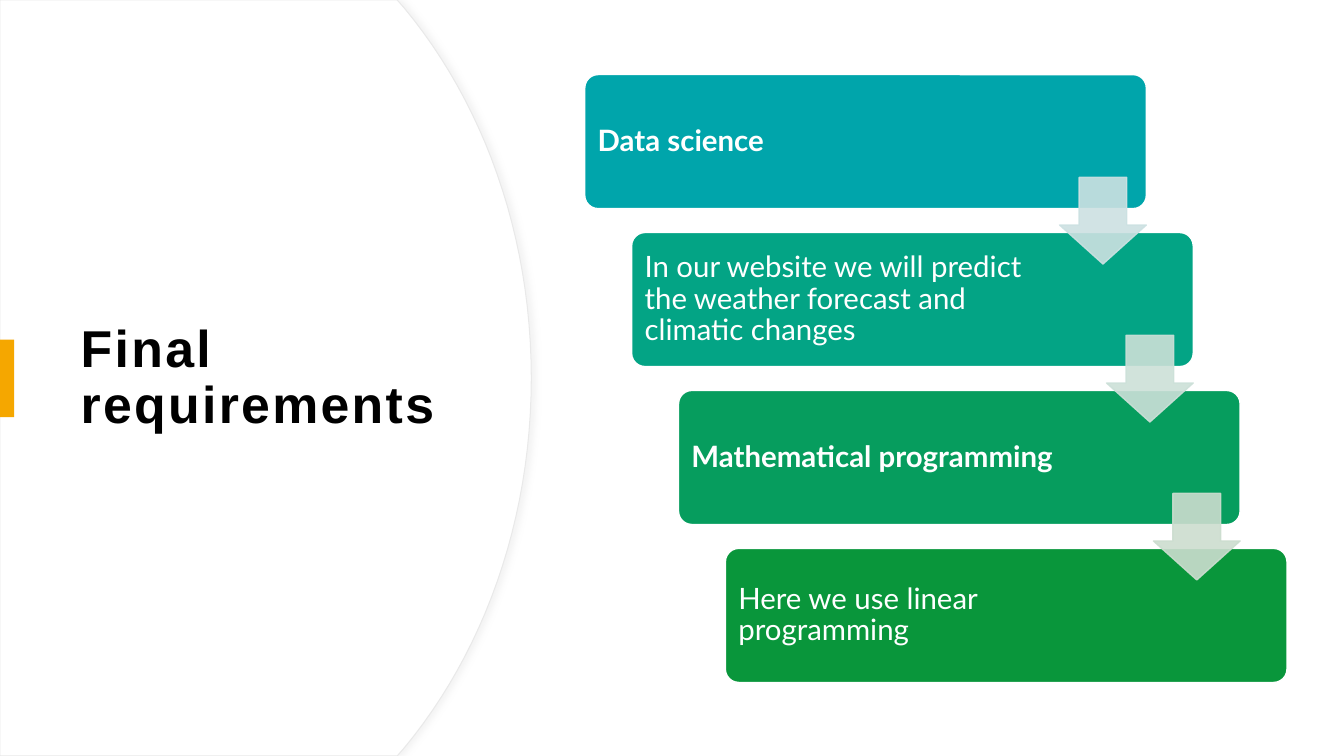
"""Build the final requirements slide with a staircase of four steps."""
import pptx
import pptx.dml.color
import pptx.enum.shapes
import pptx.enum.text
import pptx.oxml
import pptx.oxml.ns
import pptx.util

Inches = pptx.util.Inches
Pt = pptx.util.Pt
SHAPE = pptx.enum.shapes.MSO_SHAPE
ALIGN = pptx.enum.text.PP_ALIGN
ANCHOR = pptx.enum.text.MSO_ANCHOR

COLORS = {
    "white": "FFFFFF", "black": "000000", "edge": "E9E9E9", "accent": "F5A700",
    "teal": "00A5AB", "sea": "03A485", "green": "069D5E", "leaf": "09963B",
    "mist": "CCE1E2", "mint": "CCE0D8", "sage": "CCDDCF",
}
STEPS = [
    ("Data science", "teal", True),
    ("In our website we will predict the weather forecast and climatic changes", "sea", False),
    ("Mathematical programming", "green", True),
    ("Here we use linear programming", "leaf", False),
]
ARROWS = ["mist", "mint", "sage"]
LEFT, TOP, SHIFT, DROP = 5.8, 0.74, 0.465, 1.567
CURVE = [(4.01, 0.08), (4.79, 1.02), (5.27, 2.32), (5.27, 3.75)]
HEIGHT, CUTS = 7.5, 24


def rgb(name):
    return pptx.dml.color.RGBColor.from_string(COLORS[name])


def apply(target, values):
    for key, value in values.items():
        setattr(target, key, value)


def paint(shape, fill, line=None, width=1):
    shape.shadow.inherit = False
    shape.fill.solid()
    shape.fill.fore_color.rgb = rgb(fill)
    if line:
        shape.line.color.rgb = rgb(line)
        shape.line.width = Pt(width)
    else:
        shape.line.fill.background()


def write(shape, text, color, frame, font, spacing=0):
    apply(shape.text_frame, {"word_wrap": True, "vertical_anchor": ANCHOR.MIDDLE, **frame})
    para = shape.text_frame.paragraphs[0]
    apply(para, {"alignment": ALIGN.LEFT, "line_spacing": 0.9})
    run = para.add_run()
    run.text = text
    apply(run.font, font)
    run.font.color.rgb = rgb(color)
    if spacing:
        run._r.get_or_add_rPr().set("spc", str(spacing))


def add_shape(slide, kind, box, fill, line=None):
    shape = slide.shapes.add_shape(kind, *map(Inches, box))
    paint(shape, fill, line)
    return shape


def bend(t):
    weights = ((1 - t) ** 3, 3 * t * (1 - t) ** 2, 3 * t * t * (1 - t), t ** 3)
    return tuple(sum(w * p[axis] for w, p in zip(weights, CURVE)) for axis in (0, 1))


def add_panel(slide):
    upper = [(3.94, 0)] + [bend(i / CUTS) for i in range(CUTS + 1)]
    lower = [(x, HEIGHT - y) for x, y in reversed(upper[:-1])]
    points = [(Inches(x), Inches(y)) for x, y in upper + lower + [(0, HEIGHT)]]
    outline = slide.shapes.build_freeform(0, 0)
    outline.add_line_segments(points, close=True)
    panel = outline.convert_to_shape()
    paint(panel, "white", "edge", 0.75)
    effects = panel._element.spPr.find(pptx.oxml.ns.qn("a:effectLst"))
    effects.append(pptx.oxml.parse_xml(
        f'<a:outerShdw {pptx.oxml.ns.nsdecls("a")} blurRad="50800" dist="38100" dir="0">'
        '<a:srgbClr val="D9D9D9"><a:alpha val="30000"/></a:srgbClr></a:outerShdw>'))


def add_title(slide):
    title = slide.shapes.title
    slide.shapes._spTree.append(title._element)
    apply(title, {"left": Inches(0.68), "top": Inches(1.27),
                  "width": Inches(3.94), "height": Inches(4.95)})
    frame = {"margin_left": Inches(0.12), "margin_right": Inches(0.12),
             "margin_top": Inches(0.12), "margin_bottom": Inches(0.1)}
    font = {"name": "Arial", "size": Pt(37), "bold": True}
    write(title, "Final requirements", "black", frame, font, 170)


def add_step(slide, index, text, fill, bold):
    box = (LEFT + index * SHIFT, TOP + index * DROP, 5.57, 1.33)
    step = add_shape(slide, SHAPE.ROUNDED_RECTANGLE, box, fill, "white")
    step.adjustments[0] = 0.1
    frame = {"margin_left": Inches(0.09), "margin_right": Inches(1.45),
             "margin_top": Inches(0.09), "margin_bottom": Inches(0.09)}
    write(step, text, "white", frame, {"name": "Lato", "size": Pt(21), "bold": bold})


def add_arrow(slide, index, fill):
    box = (LEFT + 4.71 + index * SHIFT, TOP + 1.02 + index * DROP, 0.86, 0.86)
    arrow = add_shape(slide, SHAPE.DOWN_ARROW, box, fill, fill)
    arrow.adjustments[0] = 0.55
    arrow.adjustments[1] = 0.45
    for color in arrow._element.spPr.iter(pptx.oxml.ns.qn("a:srgbClr")):
        color.append(pptx.oxml.parse_xml(
            f'<a:alpha {pptx.oxml.ns.nsdecls("a")} val="90000"/>'))


def main():
    deck = pptx.Presentation()
    apply(deck, {"slide_width": Inches(13.33), "slide_height": Inches(HEIGHT)})
    slide = deck.slides.add_slide(deck.slide_layouts[5])
    add_panel(slide)
    add_title(slide)
    add_shape(slide, SHAPE.RECTANGLE, (0, 3.37, 0.14, 0.77), "accent")
    for index, step in enumerate(STEPS):
        add_step(slide, index, *step)
    for index, fill in enumerate(ARROWS):
        add_arrow(slide, index, fill)
    deck.save("out.pptx")


if __name__ == "__main__":
    main()
